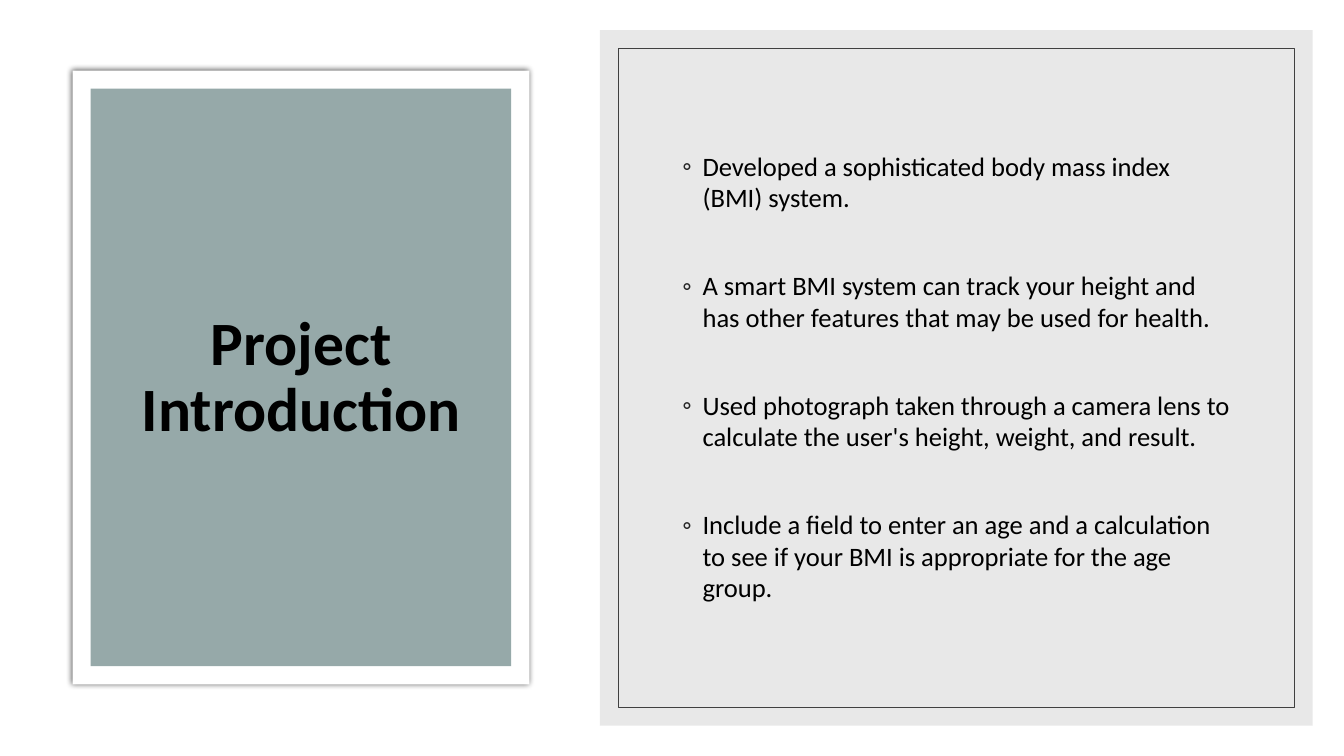
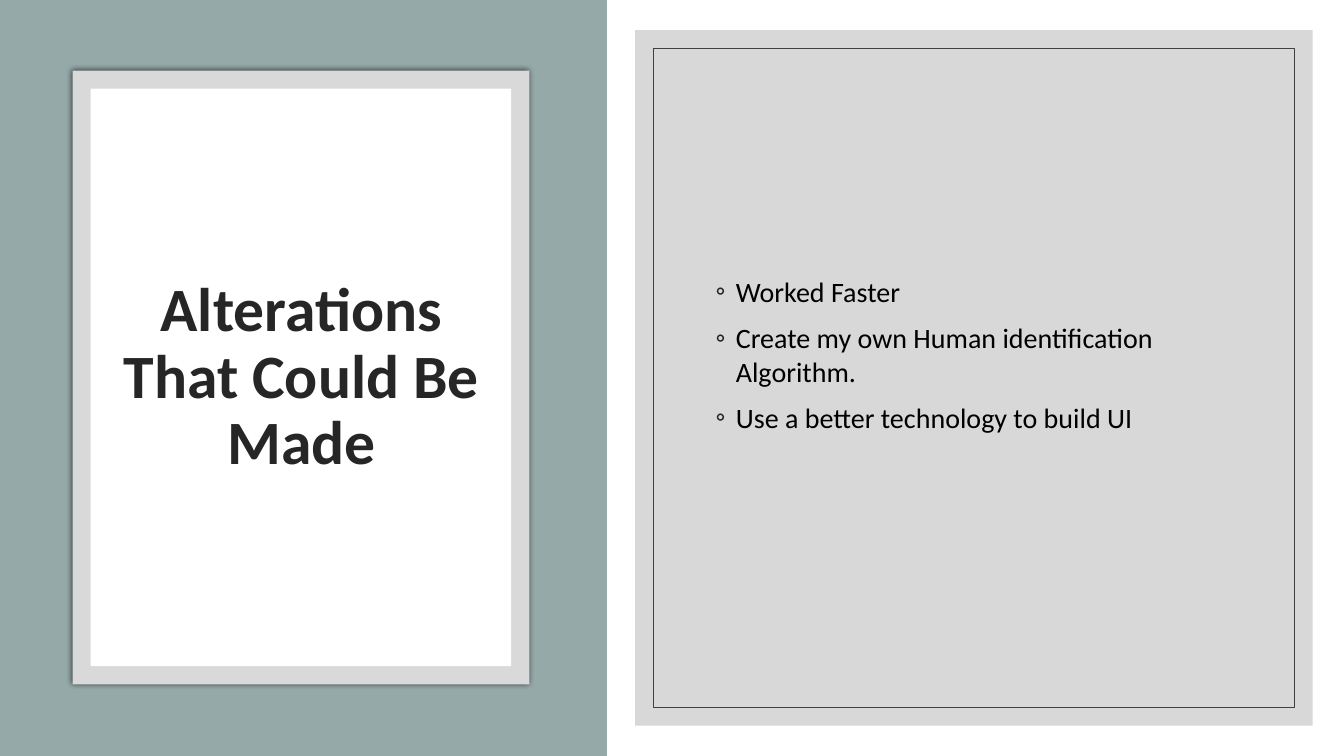
"""Build two slides, each with a framed title card beside a bulleted panel."""
from dataclasses import dataclass

from lxml.etree import SubElement
from pptx import Presentation
from pptx.dml.color import RGBColor
from pptx.enum.shapes import MSO_SHAPE
from pptx.enum.text import MSO_ANCHOR, MSO_AUTO_SIZE, PP_ALIGN
from pptx.oxml import parse_xml
from pptx.oxml.ns import nsdecls, qn
from pptx.util import Inches, Pt


@dataclass(frozen=True)
class Theme:
    font: str = "Calibri"
    white: RGBColor = RGBColor(0xFF, 0xFF, 0xFF)
    black: RGBColor = RGBColor(0x00, 0x00, 0x00)
    sage: RGBColor = RGBColor(0x96, 0xA9, 0xA9)
    light_gray: RGBColor = RGBColor(0xD9, 0xD9, 0xD9)
    mid_gray: RGBColor = RGBColor(0xBF, 0xBF, 0xBF)
    outline: RGBColor = RGBColor(0x40, 0x40, 0x40)
    ink: RGBColor = RGBColor(0x26, 0x26, 0x26)
    title_size: Pt = Pt(44)
    outline_width: Pt = Pt(0.5)


THEME = Theme()
FRAME_INSET = 0.18
PANEL_RIGHT = 13.02
BODY_RIGHT = 12.33

SLIDES = [
    {
        "title": "Project Introduction",
        "title_color": THEME.black,
        "band_width": 0,
        "frame_color": THEME.white,
        "card_color": THEME.sage,
        "panel_color": THEME.light_gray,
        "panel_left": 5.95,
        "body_left": 6.67,
        "body_size": Pt(19),
        "line_spacing": 0.98,
        "bullet_gap": Pt(40.7),
        "bottom_margin": Inches(0.05),
        "bullets": [
            "Developed a sophisticated body mass index (BMI) system.",
            "A smart BMI system can track your height and has other features that may be used for health.",
            "Used photograph taken through a camera lens to calculate the user's height, weight, and result.",
            "Include a field to enter an age and a calculation to see if your BMI is appropriate for the age group.",
        ],
    },
    {
        "title": "Alterations That Could Be Made",
        "title_color": THEME.ink,
        "band_width": 6.02,
        "frame_color": THEME.light_gray,
        "card_color": THEME.white,
        "panel_color": THEME.mid_gray,
        "panel_left": 6.3,
        "body_left": 7,
        "body_size": Pt(20),
        "line_spacing": 1.0,
        "bullet_gap": Pt(9),
        "bottom_margin": Inches(0.51),
        "bullets": [
            "Worked Faster",
            "Create my own Human identification Algorithm.",
            "Use a better technology to build UI",
        ],
    },
]


def set_format(target, values):
    for name, value in values.items():
        setattr(target, name, value)


def add_rectangle(page, left, top, width, height, fill=None, line=None):
    box = page.shapes.add_shape(
        MSO_SHAPE.RECTANGLE, Inches(left), Inches(top), Inches(width), Inches(height)
    )
    box.shadow.inherit = False
    if fill is None:
        box.fill.background()
    else:
        box.fill.solid()
        box.fill.fore_color.rgb = fill
    if line is None:
        box.line.fill.background()
    else:
        box.line.color.rgb = line
        box.line.width = THEME.outline_width
    return box


deck = Presentation()
set_format(deck, {"slide_width": Inches(13.33), "slide_height": Inches(7.5)})

for content in SLIDES:
    page = deck.slides.add_slide(deck.slide_layouts.get_by_name("Title Only"))
    page.background.fill.solid()
    page.background.fill.fore_color.rgb = THEME.white

    if content["band_width"]:
        add_rectangle(page, 0, 0, content["band_width"], 7.5, THEME.sage)

    frame = add_rectangle(page, 0.72, 0.7, 4.53, 6.09, content["frame_color"])
    effects = frame._element.spPr.find(qn("a:effectLst"))
    effects.append(parse_xml(
        f'<a:outerShdw {nsdecls("a")} blurRad="{Pt(4)}" dist="0" dir="0" algn="ctr" rotWithShape="0">'
        '<a:srgbClr val="000000"><a:alpha val="66000"/></a:srgbClr></a:outerShdw>'
    ))
    card = add_rectangle(
        page, 0.72 + FRAME_INSET, 0.7 + FRAME_INSET,
        4.53 - 2 * FRAME_INSET, 6.09 - 2 * FRAME_INSET, content["card_color"],
    )

    title = page.shapes.title
    card._element.addnext(title._element)
    set_format(title, {
        "left": Inches(1.08), "top": Inches(1.3),
        "width": Inches(3.82), "height": Inches(4.91),
    })
    title.text_frame.text = content["title"]
    set_format(title.text_frame, {
        "word_wrap": True,
        "auto_size": MSO_AUTO_SIZE.NONE,
        "vertical_anchor": MSO_ANCHOR.MIDDLE,
    })
    para = title.text_frame.paragraphs[0]
    set_format(para, {"alignment": PP_ALIGN.CENTER, "line_spacing": 0.9})
    span = para.runs[0]
    set_format(span.font, {"name": THEME.font, "size": THEME.title_size, "bold": True})
    span.font.color.rgb = content["title_color"]

    panel_left = content["panel_left"]
    panel_width = PANEL_RIGHT - panel_left
    panel = add_rectangle(page, panel_left, 0.3, panel_width, 6.9, content["panel_color"])
    panel_color = panel._element.spPr.find(qn("a:solidFill")).find(qn("a:srgbClr"))
    SubElement(panel_color, qn("a:alpha"), val="60000")
    add_rectangle(
        page, panel_left + FRAME_INSET, 0.3 + FRAME_INSET,
        panel_width - 2 * FRAME_INSET, 6.9 - 2 * FRAME_INSET, line=THEME.outline,
    )

    body = page.shapes.add_textbox(
        Inches(content["body_left"]), Inches(1.02),
        Inches(BODY_RIGHT - content["body_left"]), Inches(5.45),
    )
    set_format(body.text_frame, {
        "word_wrap": True,
        "auto_size": MSO_AUTO_SIZE.NONE,
        "vertical_anchor": MSO_ANCHOR.MIDDLE,
        "margin_bottom": content["bottom_margin"],
    })
    for index, bullet in enumerate(content["bullets"]):
        para = body.text_frame.add_paragraph() if index else body.text_frame.paragraphs[0]
        set_format(para, {
            "alignment": PP_ALIGN.LEFT,
            "line_spacing": content["line_spacing"],
            "space_before": content["bullet_gap"] if index else Pt(9),
        })
        properties = para._p.get_or_add_pPr()
        properties.set("marL", str(Inches(0.2)))
        properties.set("indent", str(-Inches(0.2)))
        bullet_color = SubElement(properties, qn("a:buClr"))
        SubElement(bullet_color, qn("a:srgbClr"), val=str(THEME.ink))
        SubElement(properties, qn("a:buFont"), typeface=THEME.font)
        SubElement(properties, qn("a:buChar"), char="◦")
        span = para.add_run()
        span.text = bullet
        set_format(span.font, {"name": THEME.font, "size": content["body_size"]})
        span.font.color.rgb = THEME.black

deck.save("out.pptx")
